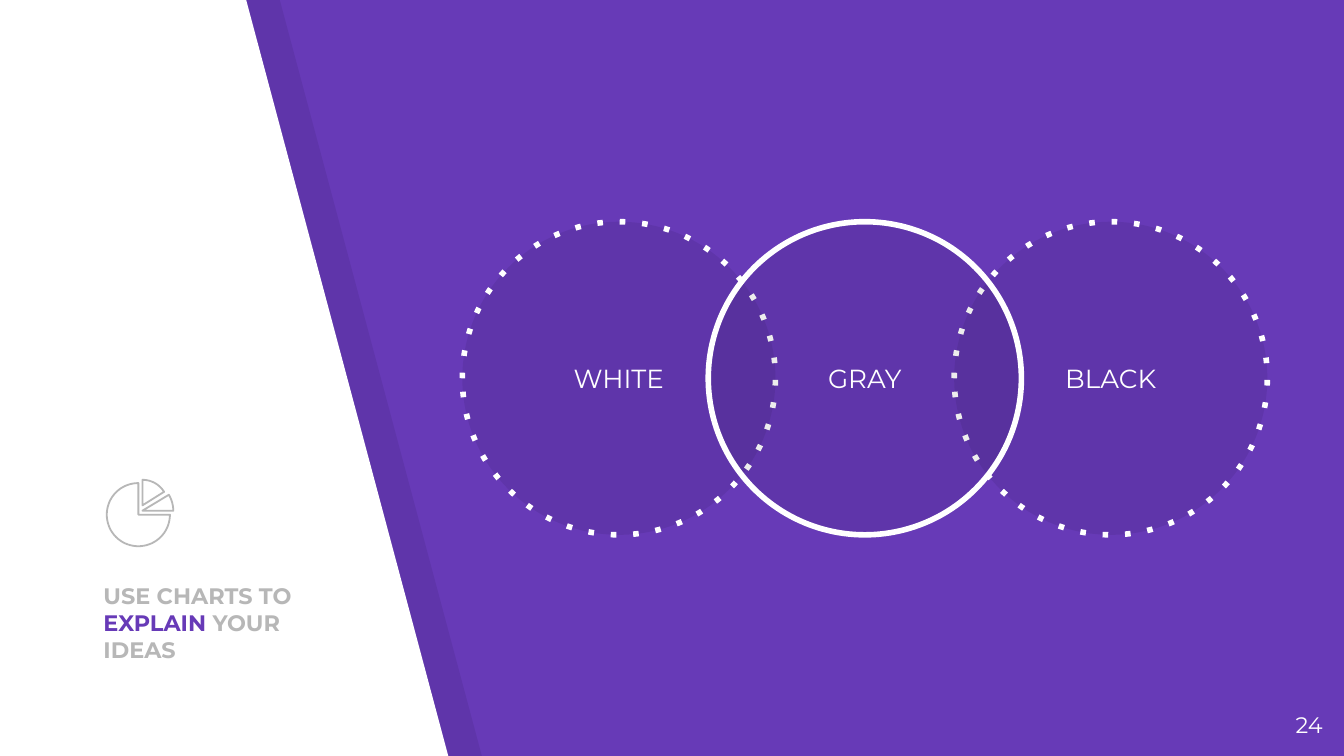
from dataclasses import dataclass
from math import cos, radians, sin

from lxml.etree import SubElement
from pptx import Presentation
from pptx.dml.color import RGBColor
from pptx.enum.shapes import MSO_SHAPE as Preset
from pptx.enum.text import MSO_ANCHOR as Anchor, MSO_AUTO_SIZE as AutoSize, PP_ALIGN as Align
from pptx.oxml.ns import qn
from pptx.util import Inches, Pt


@dataclass(frozen=True)
class Theme:
    font: str = "Montserrat"
    purple: str = "673AB7"
    white: str = "FFFFFF"
    gray: str = "B7B7B7"
    shade: str = "000000"
    shade_alpha: int = 7
    small: int = 12
    label: int = 14
    ring: float = 3
    icon_line: float = 0.96


@dataclass(frozen=True)
class Box:
    left: float
    top: float
    width: float
    height: float

    def lengths(self):
        return [Inches(n) for n in (self.left, self.top, self.width, self.height)]


THEME = Theme()


def color(code):
    return RGBColor.from_string(code)


def paint(shape, fill=None, alpha=None, line=None, weight=1, dotted=False):
    shape.shadow.inherit = False
    if fill:
        shape.fill.solid()
        shape.fill.fore_color.rgb = color(fill)
        if alpha is not None:
            tint = shape.element.spPr.find(qn("a:solidFill"))[0]
            SubElement(tint, qn("a:alpha"), val=str(alpha * 1000))
    else:
        shape.fill.background()
    if line:
        shape.line.color.rgb = color(line)
        shape.line.width = Pt(weight)
        if dotted:
            outline = shape.element.spPr.find(qn("a:ln"))
            SubElement(outline, qn("a:prstDash"), val="dot")
    else:
        shape.line.fill.background()


def write(shape, *pieces, size, align=Align.LEFT, anchor=Anchor.TOP, bold=False):
    frame = shape.text_frame
    frame.word_wrap = True
    frame.auto_size = AutoSize.NONE
    frame.vertical_anchor = anchor
    frame.margin_left = frame.margin_right = Inches(0.1)
    frame.margin_top = frame.margin_bottom = Inches(0.1)
    para = frame.paragraphs[0]
    para.alignment = align
    for text, code in pieces:
        span = para.add_run()
        span.text = text
        span.font.name = THEME.font
        span.font.size = Pt(size)
        span.font.bold = bold
        span.font.color.rgb = color(code)


def draw_outline(page, points, **look):
    start, *rest = [(Inches(x), Inches(y)) for x, y in points]
    builder = page.shapes.build_freeform(*start, scale=1.0)
    builder.add_line_segments(rest, close=True)
    paint(builder.convert_to_shape(), **look)


def add_side_panel(page, box, top_width, shadow_offset):
    def slant(shift, **look):
        left, bottom = box.left + shift, box.top + box.height
        draw_outline(page, [(left, box.top), (left, bottom), (left + box.width, bottom),
                            (left + top_width, box.top)], **look)

    slant(shadow_offset, fill=THEME.shade, alpha=THEME.shade_alpha)
    slant(0, fill=THEME.white)


def add_title(page, box):
    title = page.shapes.title
    title.left, title.top, title.width, title.height = box.lengths()
    write(title, ("USE CHARTS TO ", THEME.gray), ("EXPLAIN", THEME.purple),
          (" YOUR IDEAS", THEME.gray), size=THEME.small, anchor=Anchor.BOTTOM, bold=True)
    title.element.getparent().append(title.element)


def add_venn(page, box):
    diameter = box.height
    step = (box.width - diameter) / 2
    for place, text, dotted in ((0, "WHITE", True), (2, "BLACK", True), (1, "GRAY", False)):
        spot = Box(box.left + place * step, box.top, diameter, diameter)
        circle = page.shapes.add_shape(Preset.OVAL, *spot.lengths())
        paint(circle, fill=THEME.shade, alpha=THEME.shade_alpha,
              line=THEME.white, weight=THEME.ring, dotted=dotted)
        write(circle, (text, THEME.white), size=THEME.label,
              align=Align.CENTER, anchor=Anchor.MIDDLE)


def add_pie_icon(page, box):
    wedges = ((0.48, 0.52, 0.47, 0, 270), (0.54, 0.38, 0.38, 270, 328),
              (0.54, 0.46, 0.46, 329, 360))
    for across, down, reach, start, end in wedges:
        center_x = box.left + across * box.width
        center_y = box.top + down * box.height
        radius = reach * box.width
        steps = (end - start) // 5
        angles = [radians(start + (end - start) * n / steps) for n in range(steps + 1)]
        arc = [(center_x + radius * cos(a), center_y + radius * sin(a)) for a in angles]
        draw_outline(page, [(center_x, center_y), *arc],
                     line=THEME.gray, weight=THEME.icon_line)


def add_page_number(page, box):
    number = page.shapes.add_textbox(*box.lengths())
    write(number, ("24", THEME.white), size=THEME.small, align=Align.RIGHT)


def main():
    deck = Presentation()
    deck.slide_width, deck.slide_height = Inches(10), Inches(10 * 9 / 16)
    page = deck.slides.add_slide(deck.slide_layouts[5])
    page.background.fill.solid()
    page.background.fill.fore_color.rgb = color(THEME.purple)
    add_side_panel(page, Box(-0.02, -0.01, 3.36, 5.65), top_width=1.85, shadow_offset=0.25)
    add_title(page, Box(0.67, 4.5, 1.76, 0.53))
    add_venn(page, Box(3.44, 1.65, 5.99, 2.33))
    add_pie_icon(page, Box(0.79, 3.57, 0.5, 0.5))
    add_page_number(page, Box(9.34, 5.19, 0.6, 0.43))
    deck.save("out.pptx")


if __name__ == "__main__":
    main()
